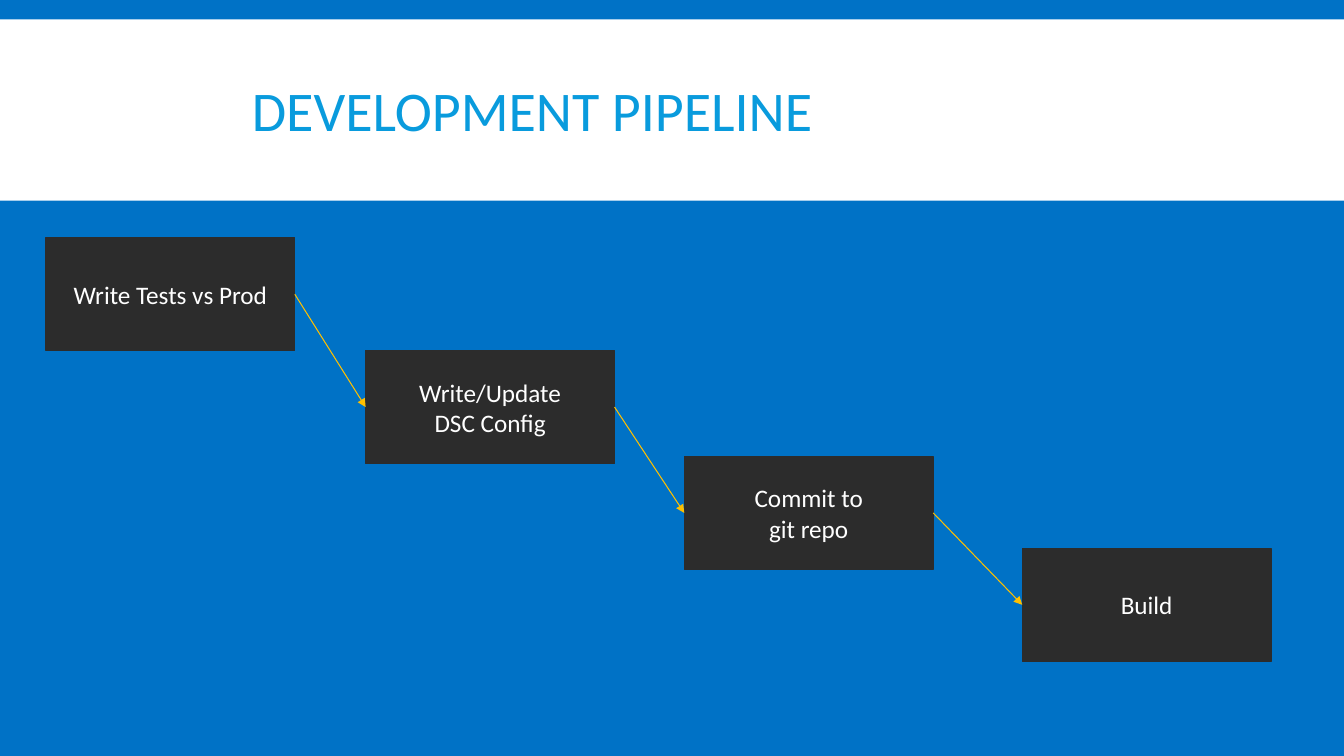
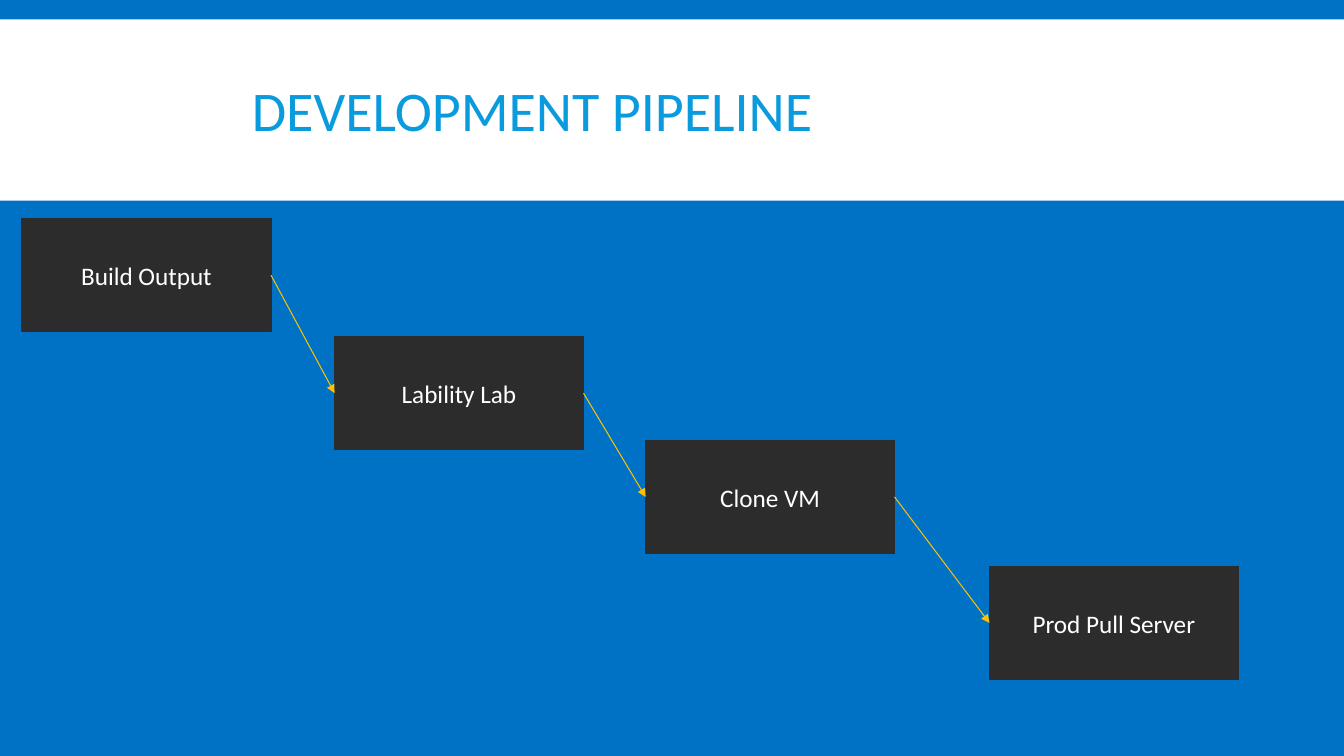
"""Build two slides that show a development pipeline as descending steps."""
import pptx
import pptx.util
import pptx.dml.color
import pptx.enum.shapes
import pptx.enum.text
import pptx.oxml.ns
import lxml.etree

Pt = pptx.util.Pt
RECT = pptx.enum.shapes.MSO_SHAPE.RECTANGLE
STRAIGHT = pptx.enum.shapes.MSO_CONNECTOR.STRAIGHT
MIDDLE = pptx.enum.text.MSO_ANCHOR.MIDDLE
CENTER = pptx.enum.text.PP_ALIGN.CENTER
BLUE, SKY, WHITE, DARK, GOLD = "0072C6", "099BDD", "FFFFFF", "2C2C2C", "FFC000"
SLIDE_W, SLIDE_H = 960, 540
BOX_W, BOX_H = 177.8, 80.8
RIGHT_SIDE, LEFT_SIDE = 3, 1

TITLE = "DEVELOPMENT PIPELINE"
PIPELINES = [
    [("Write Tests vs Prod", 32.8, 169.8),
     ("Write/Update\nDSC Config", 261.2, 250.4),
     ("Commit to\ngit repo", 488.8, 326),
     ("Build", 730.2, 391.6)],
    [("Build Output", 15.8, 156.2),
     ("Lability Lab", 239, 240.4),
     ("Clone VM", 461.2, 314.6),
     ("Prod Pull Server", 706.8, 404.6)],
]


def rgb(value):
    return pptx.dml.color.RGBColor.from_string(value)


def write(sp, text, size, color, align=None, spacing=None):
    tf = sp.text_frame
    tf.word_wrap = True
    tf.vertical_anchor = MIDDLE
    tf.text = text
    for p in tf.paragraphs:
        p.alignment = align
        p.line_spacing = spacing
        p.font.name = "Calibri"
        p.font.size = Pt(size)
        p.font.color.rgb = rgb(color)


prs = pptx.Presentation()
prs.slide_width, prs.slide_height = Pt(SLIDE_W), Pt(SLIDE_H)
background = prs.slide_master.background.fill
background.solid()
background.fore_color.rgb = rgb(BLUE)

for steps in PIPELINES:
    s = prs.slides.add_slide(prs.slide_layouts[6])

    band = s.shapes.add_shape(RECT, Pt(0), Pt(13.8), Pt(SLIDE_W), Pt(129.6))
    band.shadow.inherit = False
    band.fill.solid()
    band.fill.fore_color.rgb = rgb(WHITE)
    band.line.fill.background()

    title = s.shapes.add_textbox(Pt(172.8), Pt(22.4), Pt(755.2), Pt(118.8))
    write(title, TITLE, 40, SKY, spacing=0.85)

    boxes = []
    for text, left, top in steps:
        box = s.shapes.add_shape(RECT, Pt(left), Pt(top), Pt(BOX_W), Pt(BOX_H))
        box.shadow.inherit = False
        box.fill.solid()
        box.fill.fore_color.rgb = rgb(DARK)
        box.line.color.rgb = rgb(DARK)
        box.line.width = Pt(1)
        write(box, text, 18, WHITE, align=CENTER)
        boxes.append(box)

    for source, target in zip(boxes, boxes[1:]):
        arrow = s.shapes.add_connector(STRAIGHT, Pt(0), Pt(0), Pt(0), Pt(0))
        arrow.begin_connect(source, RIGHT_SIDE)
        arrow.end_connect(target, LEFT_SIDE)
        arrow.line.color.rgb = rgb(GOLD)
        arrow.line.width = Pt(0.75)
        ln = arrow.line._get_or_add_ln()
        lxml.etree.SubElement(ln, pptx.oxml.ns.qn("a:tailEnd"), type="triangle")
        lxml.etree.SubElement(ln.getparent(), pptx.oxml.ns.qn("a:effectLst"))

prs.save("out.pptx")
